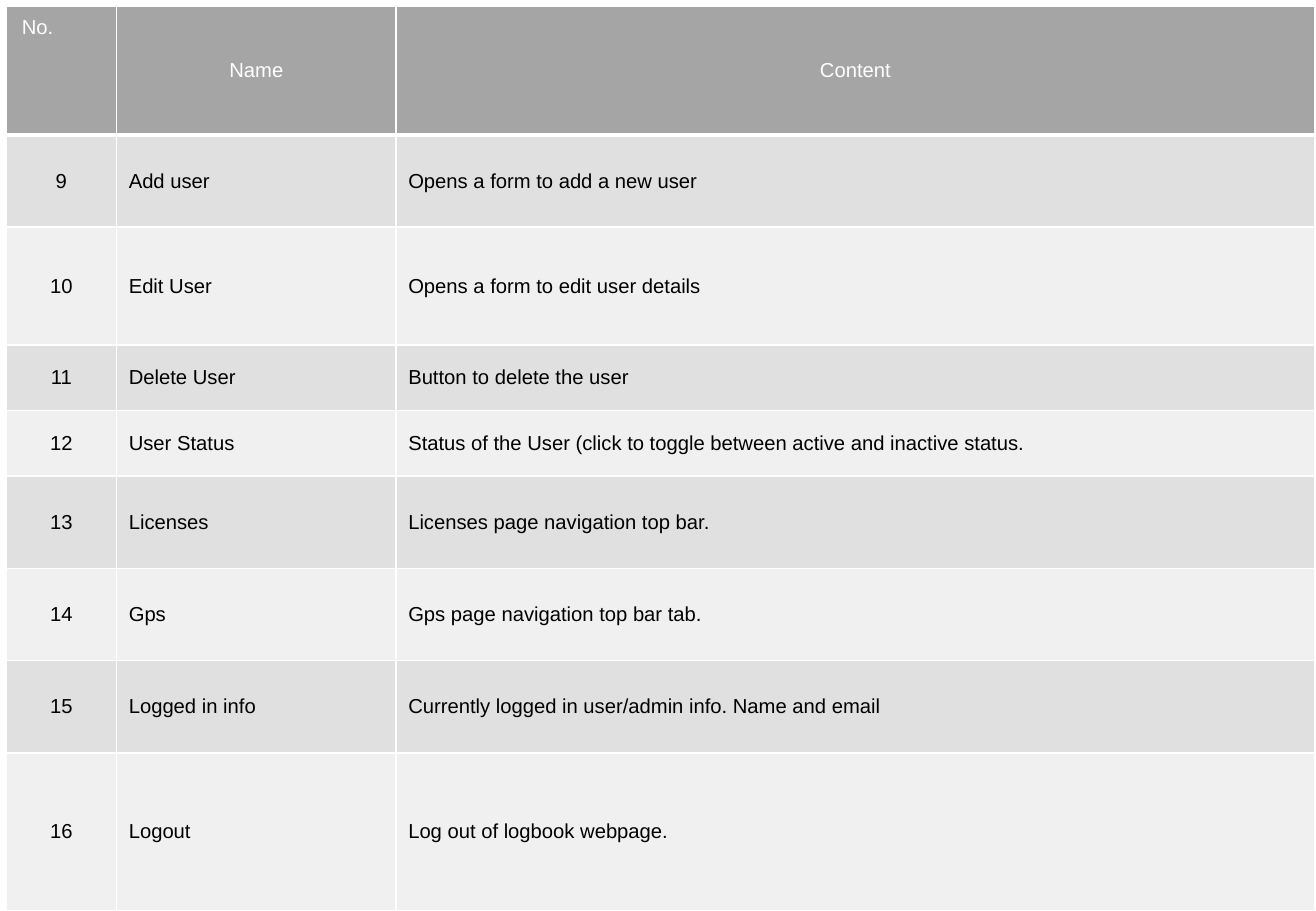
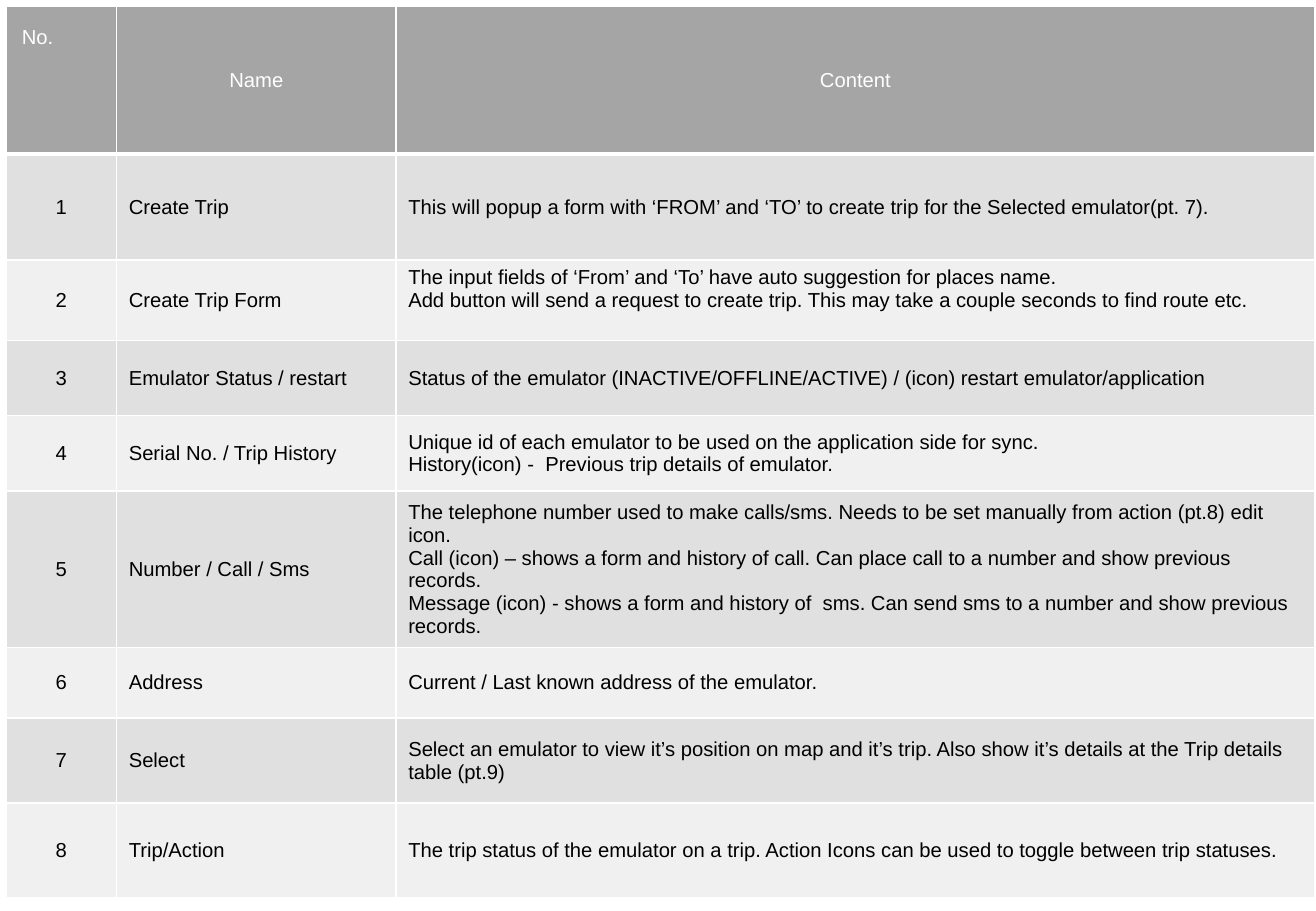
import dataclasses

import pptx
import pptx.dml.color
import pptx.enum.text
import pptx.oxml
import pptx.oxml.ns
import pptx.util

Inches = pptx.util.Inches
Pt = pptx.util.Pt
RGB = pptx.dml.color.RGBColor.from_string
PP_ALIGN = pptx.enum.text.PP_ALIGN


@dataclasses.dataclass(frozen=True)
class Theme:
    font: str = "Arial"
    size: float = 12
    header_fill: str = "A5A5A5"
    header_text: str = "FFFFFF"
    body_text: str = "000000"
    bands: tuple = ("E0E0E0", "F0F0F0")
    rule: str = "FFFFFF"
    thin: float = 0.96
    thick: float = 3


@dataclasses.dataclass(frozen=True)
class Entry:
    name: str
    content: str
    height: float
    margin_bottom: float = 0.05


THEME = Theme()
LEFT, TOP = 0.05, 0.05
COLUMNS = (0.91, 2.3, 7.56)
HEADINGS = ("No.", "Name", "Content")
ALIGNMENTS = (PP_ALIGN.CENTER, PP_ALIGN.LEFT, PP_ALIGN.LEFT)

USER_ENTRIES = (
    Entry("Add user", "Opens a form to add a new user", 0.76),
    Entry("Edit User", "Opens a form to edit user details", 0.97),
    Entry("Delete User", "Button to delete the user", 0.54),
    Entry("User Status",
          "Status of the User (click to toggle between active and inactive status.", 0.54),
    Entry("Licenses", "Licenses page navigation top bar.", 0.76),
    Entry("Gps", "Gps page navigation top bar tab.", 0.76),
    Entry("Logged in info", "Currently logged in user/admin info. Name and email", 0.76),
    Entry("Logout", "Log out of logbook webpage.", 1.3),
)

TRIP_ENTRIES = (
    Entry("Create Trip",
          "This will popup a form with ‘FROM’ and ‘TO’ to create trip for the "
          "Selected emulator(pt. 7).", 0.87),
    Entry("Create Trip Form",
          "The input fields of ‘From’ and ‘To’ have auto suggestion for places name.\n"
          "Add button will send a request to create trip. This may take a couple "
          "seconds to find route etc.", 0.66, margin_bottom=0.24),
    Entry("Emulator Status / restart",
          "Status of the emulator (INACTIVE/OFFLINE/ACTIVE) / (icon) restart "
          "emulator/application", 0.62),
    Entry("Serial No. / Trip History",
          "Unique id of each emulator to be used on the application side for sync.\v"
          "History(icon) -  Previous trip details of emulator.", 0.62),
    Entry("Number / Call / Sms",
          "The telephone number used to make calls/sms. Needs to be set manually "
          "from action (pt.8) edit icon.\n"
          "Call (icon) – shows a form and history of call. Can place call to a number "
          "and show previous records.\n"
          "Message (icon) - shows a form and history of  sms. Can send sms to a number "
          "and show previous records.", 1.29),
    Entry("Address", "Current / Last known address of the emulator.", 0.58),
    Entry("Select",
          "Select an emulator to view it’s position on map and it’s trip. Also show "
          "it’s details at the Trip details table (pt.9)", 0.7),
    Entry("Trip/Action",
          "The trip status of the emulator on a trip. Action Icons can be used to "
          "toggle between trip statuses.", 0.78),
)


def set_borders(cell, top, bottom):
    """Draw the four cell rules; widths are in points."""
    tcPr = cell._tc.get_or_add_tcPr()
    for side, width in (("L", THEME.thin), ("R", THEME.thin), ("T", top), ("B", bottom)):
        tcPr.append(pptx.oxml.parse_xml(
            f'<a:ln{side} {pptx.oxml.ns.nsdecls("a")} w="{Pt(width)}">'
            f'<a:solidFill><a:srgbClr val="{THEME.rule}"/></a:solidFill></a:ln{side}>'))


def fill_cell(cell, text, fill, color, align, top=THEME.thin, bottom=THEME.thin):
    set_borders(cell, top, bottom)
    cell.fill.solid()
    cell.fill.fore_color.rgb = RGB(fill)
    cell.vertical_anchor = pptx.enum.text.MSO_ANCHOR.MIDDLE
    cell.text_frame.text = text
    for p in cell.text_frame.paragraphs:
        p.alignment = align
        p.font.name = THEME.font
        p.font.size = Pt(THEME.size)
        p.font.bold = False
        p.font.color.rgb = RGB(color)


def add_header(table):
    for c, heading in enumerate(HEADINGS):
        fill_cell(table.cell(0, c), heading, THEME.header_fill, THEME.header_text,
                  PP_ALIGN.CENTER, bottom=THEME.thick)
    # The number heading sits high and to the left
    cell = table.cell(0, 0)
    cell.text_frame.paragraphs[0].alignment = PP_ALIGN.LEFT
    cell.margin_left = Inches(0.13)
    cell.margin_bottom = Inches(0.76)


def add_entry(table, row, number, entry):
    fill = THEME.bands[(row - 1) % len(THEME.bands)]
    top = THEME.thick if row == 1 else THEME.thin
    for c, text in enumerate((str(number), entry.name, entry.content)):
        fill_cell(table.cell(row, c), text, fill, THEME.body_text, ALIGNMENTS[c], top=top)
    table.cell(row, len(COLUMNS) - 1).margin_bottom = Inches(entry.margin_bottom)


def add_table_slide(prs, entries, first_number, header_height):
    slide = prs.slides.add_slide(prs.slide_layouts[6])
    heights = [header_height] + [entry.height for entry in entries]
    table = slide.shapes.add_table(
        len(heights), len(COLUMNS), Inches(LEFT), Inches(TOP),
        Inches(sum(COLUMNS)), Inches(sum(heights))).table
    table.first_row = table.horz_banding = False
    for column, width in zip(table.columns, COLUMNS):
        column.width = Inches(width)
    for row, height in zip(table.rows, heights):
        row.height = Inches(height)

    add_header(table)
    for i, entry in enumerate(entries):
        add_entry(table, i + 1, first_number + i, entry)


def main():
    prs = pptx.Presentation()
    prs.slide_width, prs.slide_height = Inches(10.83), Inches(7.5)
    add_table_slide(prs, USER_ENTRIES, first_number=9, header_height=1.06)
    add_table_slide(prs, TRIP_ENTRIES, first_number=1, header_height=1.22)
    prs.save("out.pptx")


if __name__ == "__main__":
    main()
